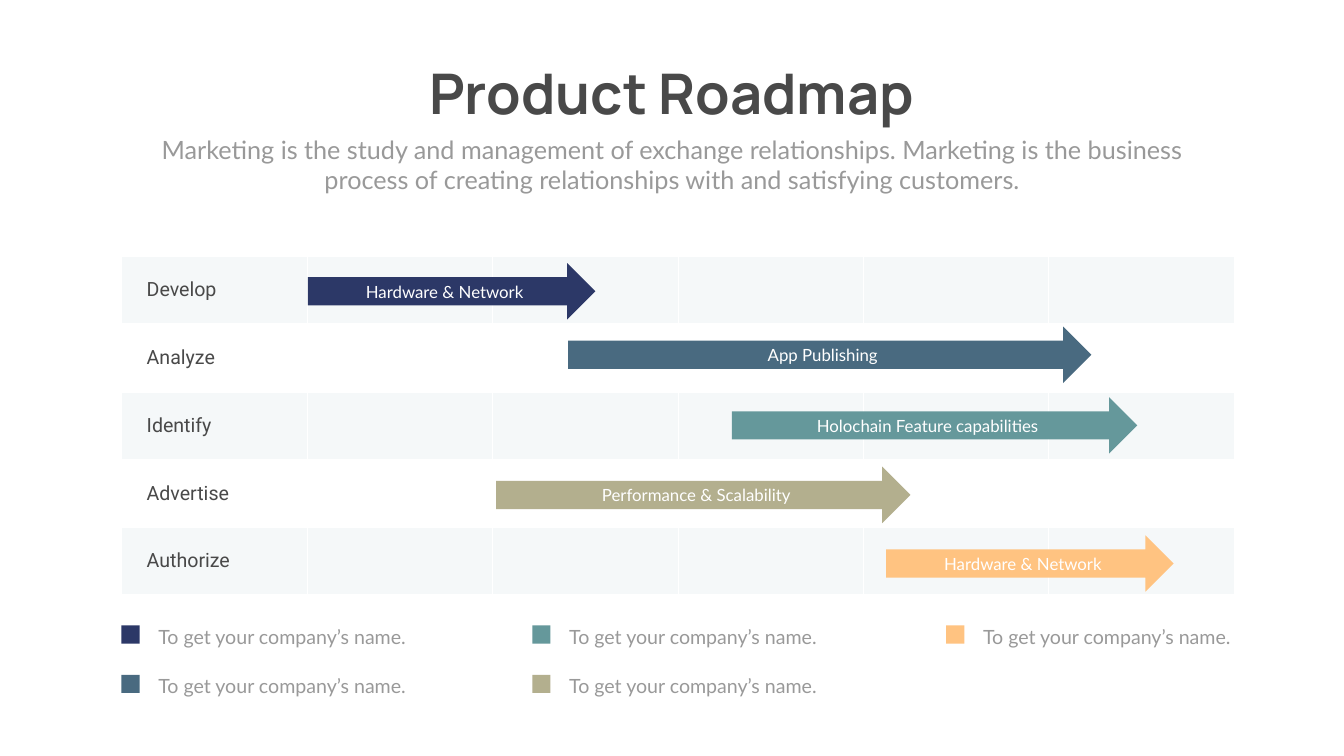
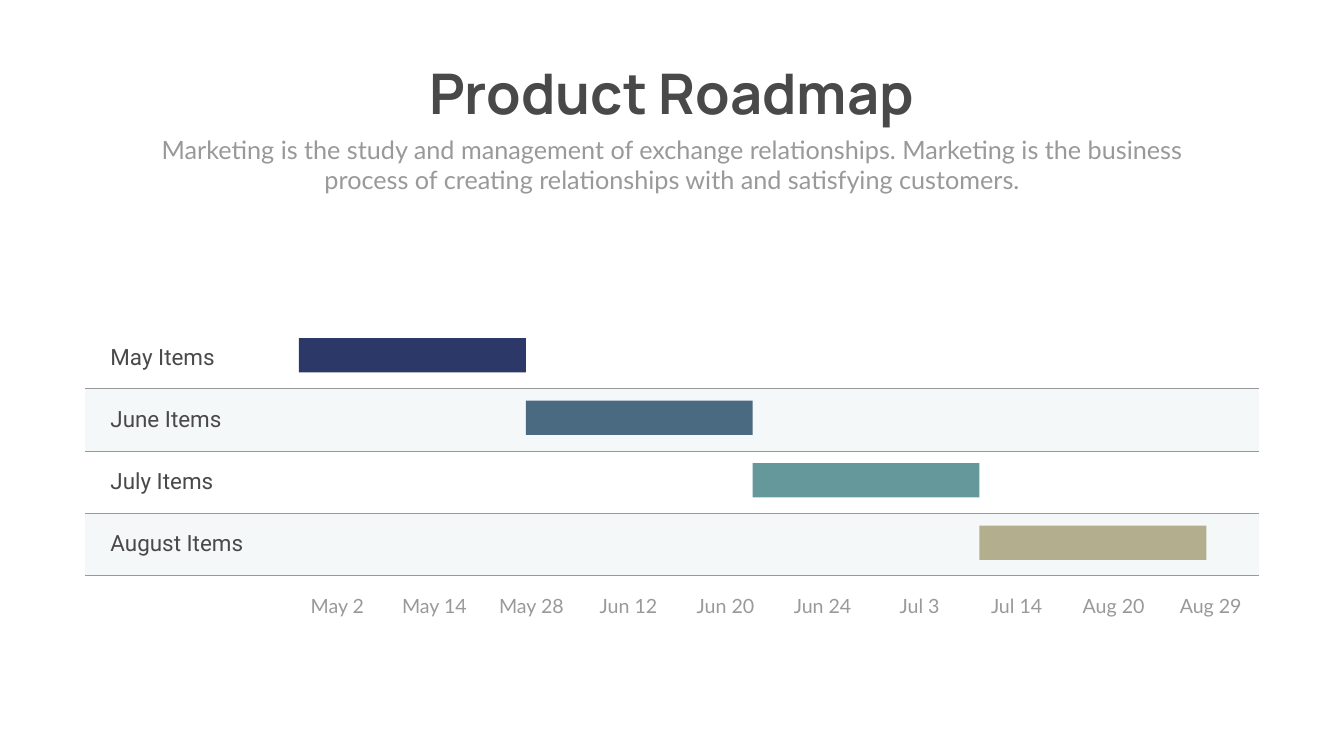
"""Build two product roadmap slides: an arrow plan with a legend and a month-by-month timeline."""
from dataclasses import dataclass, field
from typing import NamedTuple, Optional

import lxml.etree
import pptx
import pptx.dml.color
import pptx.enum.shapes
import pptx.enum.text
import pptx.oxml.ns
import pptx.slide
import pptx.table
import pptx.text.text
import pptx.util

EMU_PER_PX = 9144
SLIDE_SIZE = (2666, 1500)

NAVY, BLUE, TEAL, KHAKI, PEACH = "2C3867", "496A80", "65989B", "B3AF8E", "FFC381"
DARK, GREY, PALE, WHITE = "494949", "999999", "F5F8F9", "FFFFFF"
NO_STYLE_ID = "{2D5ABB26-0587-4C30-8999-92F81FD0307C}"

TITLE = "Product Roadmap"
SUBTITLE = (
    "Marketing is the study and management of exchange relationships. "
    "Marketing is the business process of creating relationships with and satisfying customers."
)
LEGEND_TEXT = "To get your company’s name."
PHASES = ["Develop", "Analyze", "Identify", "Advertise", "Authorize"]
MONTHS = ["May Items", "June Items", "July Items", "August Items"]
DATES = [
    "May 2", "May 14", "May 28", "Jun 12", "Jun 20",
    "Jun 24", "Jul 3", "Jul 14", "Aug 20", "Aug 29",
]

Align = pptx.enum.text.PP_ALIGN
Anchor = pptx.enum.text.MSO_ANCHOR
Preset = pptx.enum.shapes.MSO_SHAPE


class Box(NamedTuple):
    """Left, top, width and height in px."""
    left: int
    top: int
    width: int
    height: int


@dataclass(frozen=True)
class TextStyle:
    """Font and alignment of a paragraph."""
    font: str
    size: int
    color: str
    bold: bool = False
    align: Align = Align.LEFT
    line_points: Optional[float] = None


@dataclass(frozen=True)
class Bar:
    """A filled shape on the plan, with an optional label."""
    box: Box
    color: str
    label: str = ""
    preset: Preset = Preset.RECTANGLE


@dataclass(frozen=True)
class LegendItem:
    """A colour key placed by its marker."""
    left: int
    top: int
    text_width: int
    color: str


@dataclass(frozen=True)
class CellStyle:
    """Fill, inner margins and borders (side to colour and points) of a cell."""
    fill: Optional[str] = None
    margins: tuple[int, int] = (10, 5)
    borders: dict[str, tuple[str, int]] = field(default_factory=dict)


TITLE_STYLE = TextStyle("Manrope", 80, DARK, True, Align.CENTER)
SUBTITLE_STYLE = TextStyle("Lato", 36, GREY, align=Align.CENTER)
LEGEND_STYLE = TextStyle("Lato", 28, GREY, line_points=40.8)
ARROW_STYLE = TextStyle("Lato", 24, WHITE, align=Align.CENTER)
PHASE_STYLE = TextStyle("Roboto", 28, DARK)
MONTH_STYLE = TextStyle("Roboto", 32, DARK)
DATE_STYLE = TextStyle("Lato", 28, GREY, align=Align.CENTER)

ARROWS = [
    Bar(Box(left, top, width, 112), color, label, Preset.RIGHT_ARROW)
    for left, top, width, color, label in [
        (611, 522, 570, NAVY, "Hardware & Network"),
        (1127, 648, 1038, BLUE, "App Publishing"),
        (984, 926, 822, KHAKI, "Performance & Scalability"),
        (1452, 788, 804, TEAL, "Holochain Feature capabilities"),
        (1758, 1062, 570, PEACH, "Hardware & Network"),
    ]
]
LEGEND_COLUMNS = [(241, 579, [NAVY, BLUE]), (1056, 579, [TEAL, KHAKI]), (1877, 546, [PEACH])]
LEGEND = [
    LegendItem(left, 1241 + 98 * row, text_width, color)
    for left, text_width, colors in LEGEND_COLUMNS
    for row, color in enumerate(colors)
]
MONTH_BARS = [
    Bar(Box(593 + 450 * index, 671 + 124 * index, 450, 68), color)
    for index, color in enumerate([NAVY, BLUE, TEAL, KHAKI])
]


def emu(px: int) -> int:
    """Turn px into EMU."""
    return px * EMU_PER_PX


def rgb(color: str) -> pptx.dml.color.RGBColor:
    """Turn a hex string into a colour."""
    return pptx.dml.color.RGBColor.from_string(color)


def write(text_frame: pptx.text.text.TextFrame, text: str, style: TextStyle) -> None:
    """Fill a text frame with one styled paragraph."""
    paragraph = text_frame.paragraphs[0]
    paragraph.text = text
    paragraph.alignment = style.align
    if style.line_points:
        paragraph.line_spacing = pptx.util.Pt(style.line_points)
    paragraph.font.name = style.font
    paragraph.font.size = pptx.util.Pt(style.size)
    paragraph.font.bold = style.bold
    paragraph.font.color.rgb = rgb(style.color)


def add_text(
    slide: pptx.slide.Slide, box: Box, text: str, style: TextStyle,
    margins: tuple[int, int] = (10, 5), wrap: bool = True,
) -> None:
    """Add a text box that grows with its text."""
    text_frame = slide.shapes.add_textbox(*map(emu, box)).text_frame
    text_frame.word_wrap = wrap
    text_frame.auto_size = pptx.enum.text.MSO_AUTO_SIZE.SHAPE_TO_FIT_TEXT
    text_frame.margin_left = text_frame.margin_right = emu(margins[0])
    text_frame.margin_top = text_frame.margin_bottom = emu(margins[1])
    write(text_frame, text, style)


def add_bar(slide: pptx.slide.Slide, bar: Bar) -> None:
    """Add a flat shape and its label."""
    shape = slide.shapes.add_shape(bar.preset, *map(emu, bar.box))
    shape.shadow.inherit = False
    shape.fill.solid()
    shape.fill.fore_color.rgb = rgb(bar.color)
    shape.line.fill.background()
    if bar.label:
        shape.text_frame.vertical_anchor = Anchor.MIDDLE
        write(shape.text_frame, bar.label, ARROW_STYLE)


def add_legend_item(slide: pptx.slide.Slide, item: LegendItem) -> None:
    """Add a colour marker with its caption."""
    caption = Box(item.left + 49, item.top - 24, item.text_width, 75)
    add_text(slide, caption, LEGEND_TEXT, LEGEND_STYLE, (24, 12))
    add_bar(slide, Bar(Box(item.left, item.top, 36, 36), item.color))


def add_table(
    slide: pptx.slide.Slide, box: Box, rows: int, columns: int, first_width: int,
) -> pptx.table.Table:
    """Add an unstyled table with equal rows and equal columns after the first."""
    table = slide.shapes.add_table(rows, columns, *map(emu, box)).table
    table.first_row = table.horz_banding = False
    style_id = next(table._tbl.tblPr.iter(pptx.oxml.ns.qn("a:tableStyleId")))
    style_id.text = NO_STYLE_ID
    for row in table.rows:
        row.height = emu(box.height) // rows
    for index, column in enumerate(table.columns):
        rest_width = emu(box.width - first_width) // (columns - 1)
        column.width = rest_width if index else emu(first_width)
    return table


def style_cell(cell: pptx.table._Cell, style: CellStyle) -> None:
    """Apply borders, margins and fill to a cell."""
    properties = cell._tc.get_or_add_tcPr()
    for side in "LRTB":
        if side in style.borders:
            color, points = style.borders[side]
            line = lxml.etree.SubElement(
                properties, pptx.oxml.ns.qn(f"a:ln{side}"), w=str(pptx.util.Pt(points)))
            fill = lxml.etree.SubElement(line, pptx.oxml.ns.qn("a:solidFill"))
            lxml.etree.SubElement(fill, pptx.oxml.ns.qn("a:srgbClr"), val=color)
    cell.vertical_anchor = Anchor.MIDDLE
    cell.margin_left, cell.margin_right = emu(style.margins[0]), emu(10)
    cell.margin_top = cell.margin_bottom = emu(style.margins[1])
    if style.fill:
        cell.fill.solid()
        cell.fill.fore_color.rgb = rgb(style.fill)
    else:
        cell.fill.background()


def add_titled_slide(presentation: pptx.presentation.Presentation) -> pptx.slide.Slide:
    """Add a blank slide with the shared title and subtitle."""
    slide = presentation.slides.add_slide(presentation.slide_layouts[6])
    slide.background.fill.solid()
    slide.background.fill.fore_color.rgb = rgb(WHITE)
    add_text(slide, Box(799, 112, 1067, 145), TITLE, TITLE_STYLE, wrap=False)
    add_text(slide, Box(292, 261, 2082, 131), SUBTITLE, SUBTITLE_STYLE)
    return slide


def build_phase_slide(presentation: pptx.presentation.Presentation) -> None:
    """Build the phase plan with arrows and a legend."""
    slide = add_titled_slide(presentation)
    table = add_table(slide, Box(241, 508, 2207, 673), len(PHASES), 6, 368)
    borders = {"L": (WHITE, 1), "R": (WHITE, 1), "T": (WHITE, 1), "B": (WHITE, 3)}
    for row, phase in enumerate(PHASES):
        fill = None if row % 2 else PALE
        for column in range(len(table.columns)):
            margins = (10, 5) if column else (50, 6)
            style_cell(table.cell(row, column), CellStyle(fill, margins, borders))
        write(table.cell(row, 0).text_frame, phase, PHASE_STYLE)
    for item in LEGEND:
        add_legend_item(slide, item)
    for arrow in ARROWS:
        add_bar(slide, arrow)


def build_month_slide(presentation: pptx.presentation.Presentation) -> None:
    """Build the month timeline with its date row."""
    slide = add_titled_slide(presentation)
    date_row = len(MONTHS)
    table = add_table(slide, Box(169, 648, 2329, 617), date_row + 1, len(DATES) + 1, 404)
    for row in range(date_row + 1):
        fill = PALE if row % 2 else WHITE
        borders = {"T" if row == date_row else "B": (GREY, 1)}
        for column in range(len(table.columns)):
            margins = (10, 5) if column else (50, 5)
            style_cell(table.cell(row, column), CellStyle(fill, margins, borders))
    for row, month in enumerate(MONTHS):
        write(table.cell(row, 0).text_frame, month, MONTH_STYLE)
    for column, date in enumerate(DATES, start=1):
        write(table.cell(date_row, column).text_frame, date, DATE_STYLE)
    for bar in MONTH_BARS:
        add_bar(slide, bar)


def main() -> None:
    """Build and save the presentation."""
    presentation = pptx.Presentation()
    presentation.slide_width, presentation.slide_height = map(emu, SLIDE_SIZE)
    build_phase_slide(presentation)
    build_month_slide(presentation)
    presentation.save("out.pptx")


if __name__ == "__main__":
    main()
